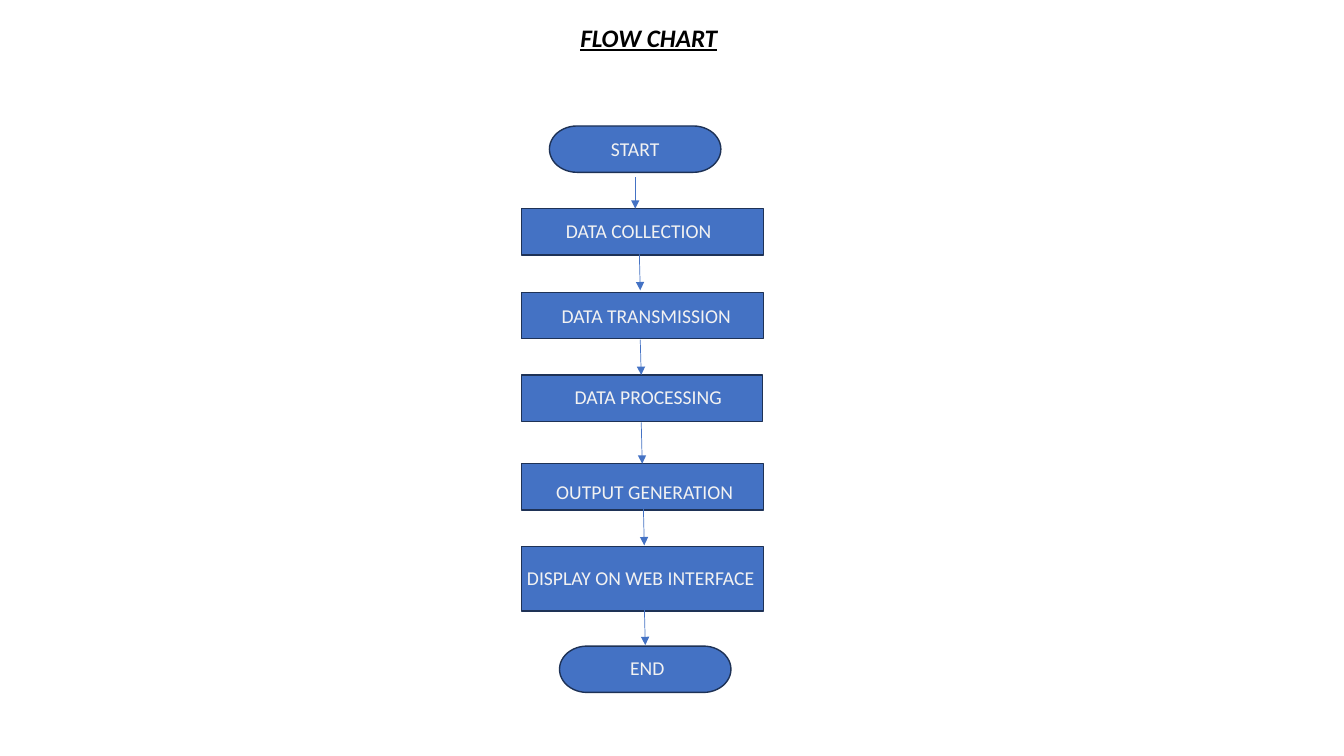
"""Builds a flow chart slide from data collection to web display."""
import pptx
import pptx.util
import pptx.dml.color
import pptx.enum.shapes
import pptx.enum.text
import pptx.oxml
import pptx.oxml.ns
from pptx.util import Inches

TITLE = ("FLOW CHART", 3.1, 0.17, 6.67, 0.4)
BLUE, NAVY, PALE, BLACK = "4472C4", "1E3256", "F2F2F2", "000000"
FORMS = pptx.enum.shapes.MSO_SHAPE
CAP, BOX = FORMS.FLOWCHART_TERMINATOR, FORMS.FLOWCHART_PROCESS

# label, form, shape (left, top, width, height), text (left, top, width)
STEPS = [
    ("START", CAP, (5.45, 1.25, 1.7, 0.46), (5.33, 1.31, 1.94)),
    ("DATA COLLECTION", BOX, (5.17, 2.07, 2.4, 0.46), (5.28, 2.12, 2.11)),
    ("DATA TRANSMISSION", BOX, (5.17, 2.9, 2.4, 0.46), (5.21, 2.97, 2.4)),
    ("DATA PROCESSING", BOX, (5.17, 3.72, 2.39, 0.46), (5.33, 3.77, 2.2)),
    ("OUTPUT GENERATION", BOX, (5.17, 4.6, 2.4, 0.46), (5.05, 4.71, 2.69)),
    ("DISPLAY ON WEB INTERFACE", BOX, (5.17, 5.42, 2.4, 0.64), (5.01, 5.57, 2.69)),
    ("END", CAP, (5.55, 6.41, 1.7, 0.46), (5.45, 6.46, 1.94)),
]
ARROWS = [
    (6.3, 1.76, 6.3, 2.07),
    (6.34, 2.46, 6.35, 2.88),
    (6.35, 3.37, 6.36, 3.72),
    (6.36, 4.19, 6.37, 4.6),
    (6.38, 4.98, 6.39, 5.41),
    (6.39, 5.98, 6.4, 6.4),
]


def paint(part, shade):
    if hasattr(part, "solid"):
        part.solid()
        part = part.fore_color
    part.rgb = pptx.dml.color.RGBColor.from_string(shade)


def write(text, left, top, width, height=0.34, size=14, shade=PALE, strong=False):
    box = slide.shapes.add_textbox(*map(Inches, (left, top, width, height)))
    frame = box.text_frame
    frame.word_wrap = True
    frame.auto_size = pptx.enum.text.MSO_AUTO_SIZE.SHAPE_TO_FIT_TEXT
    line = frame.paragraphs[0]
    line.alignment = pptx.enum.text.PP_ALIGN.CENTER
    run = line.add_run()
    run.text = text
    font = run.font
    font.name, font.size = "Calibri", pptx.util.Pt(size)
    font.bold = font.italic = font.underline = strong
    paint(font.color, shade)


def node(form, place):
    shape = slide.shapes.add_shape(form, *map(Inches, place))
    shape.shadow.inherit = False
    paint(shape.fill, BLUE)
    paint(shape.line.fill, NAVY)
    shape.line.width = pptx.util.Pt(1)


def arrow(ends):
    kind = pptx.enum.shapes.MSO_CONNECTOR.STRAIGHT
    link = slide.shapes.add_connector(kind, *map(Inches, ends))
    paint(link.line.fill, BLUE)
    link.line.width = pptx.util.Pt(0.5)
    props = link._element.spPr
    name = pptx.oxml.ns.qn
    tip = link.line._get_or_add_ln().makeelement(name("a:tailEnd"), {"type": "triangle"})
    link.line._get_or_add_ln().append(tip)
    props.append(props.makeelement(name("a:effectLst"), {}))


deck = pptx.Presentation()
deck.slide_width, deck.slide_height = Inches(13.33), Inches(7.5)
slide = deck.slides.add_slide(deck.slide_layouts[6])

for label, form, place, spot in STEPS:
    node(form, place)
    write(label, *spot)
write(*TITLE, size=18, shade=BLACK, strong=True)
for ends in ARROWS:
    arrow(ends)

deck.save("out.pptx")
